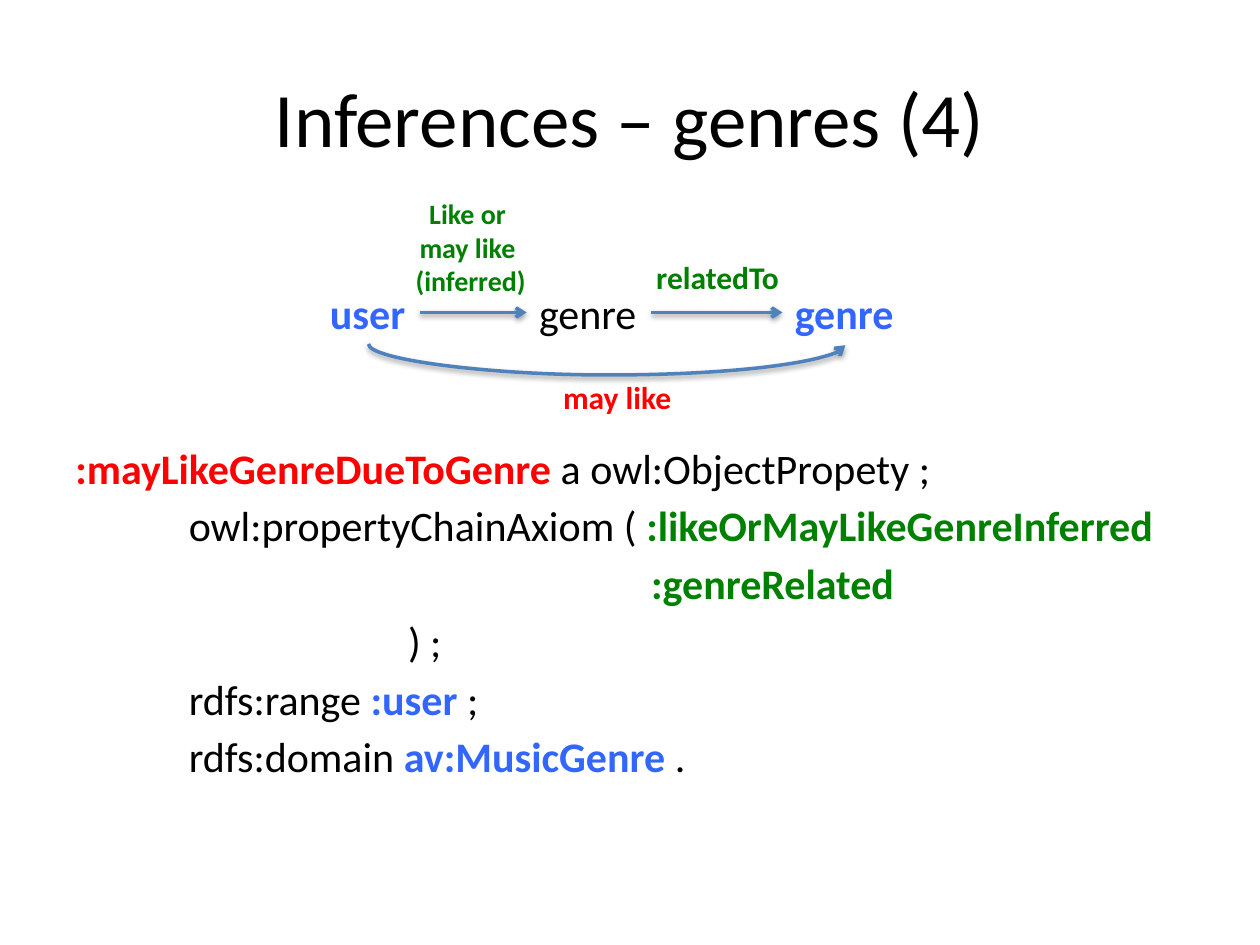
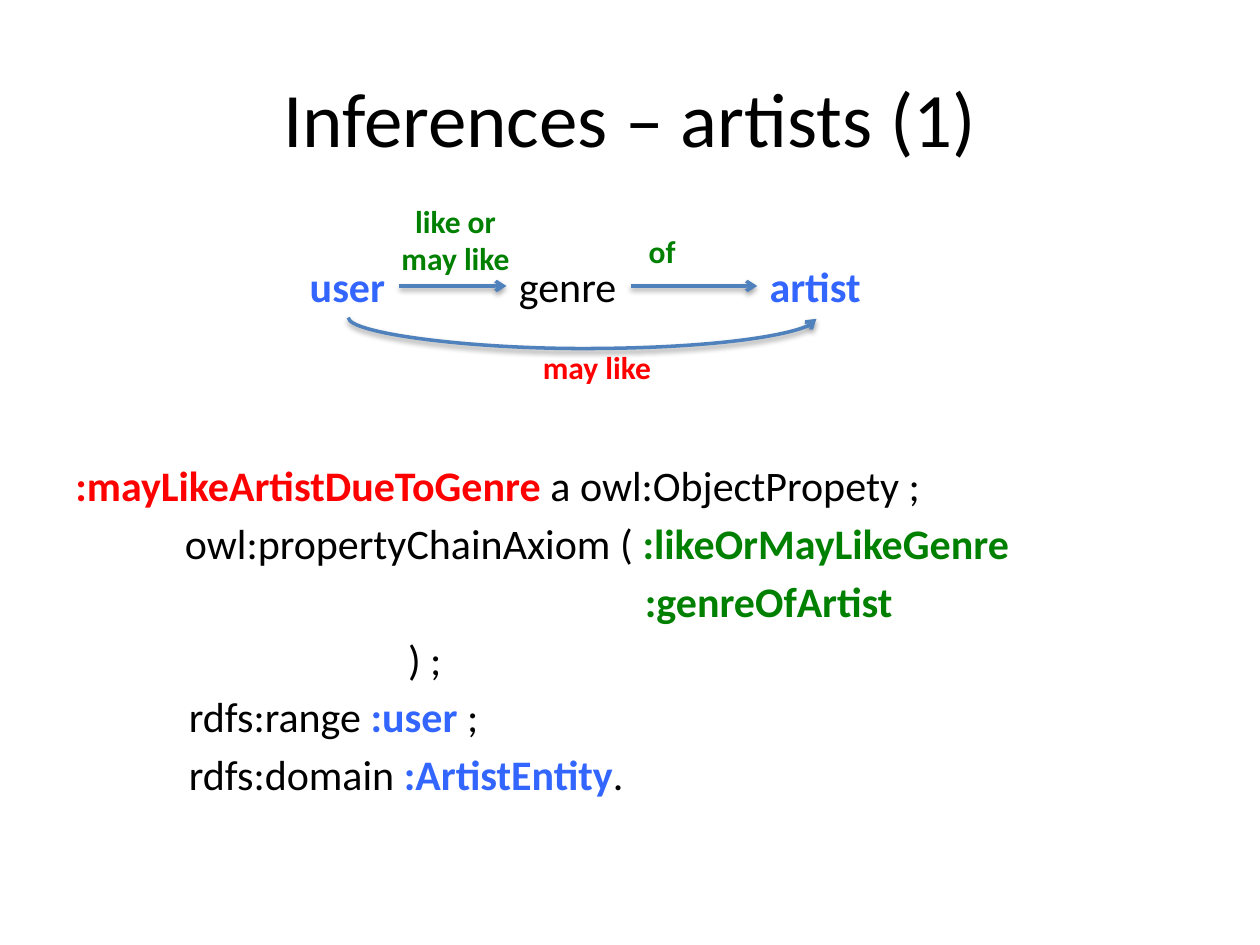
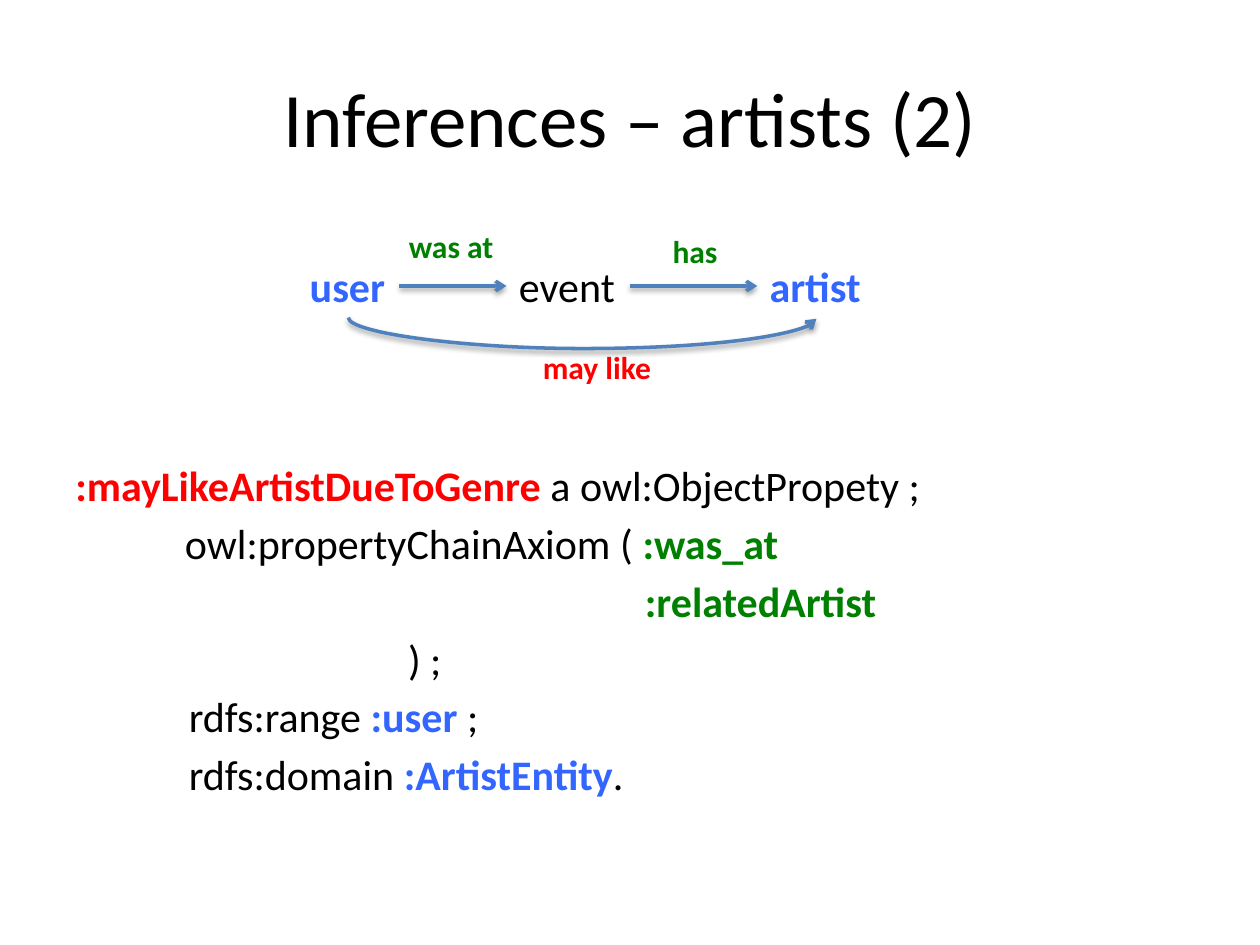
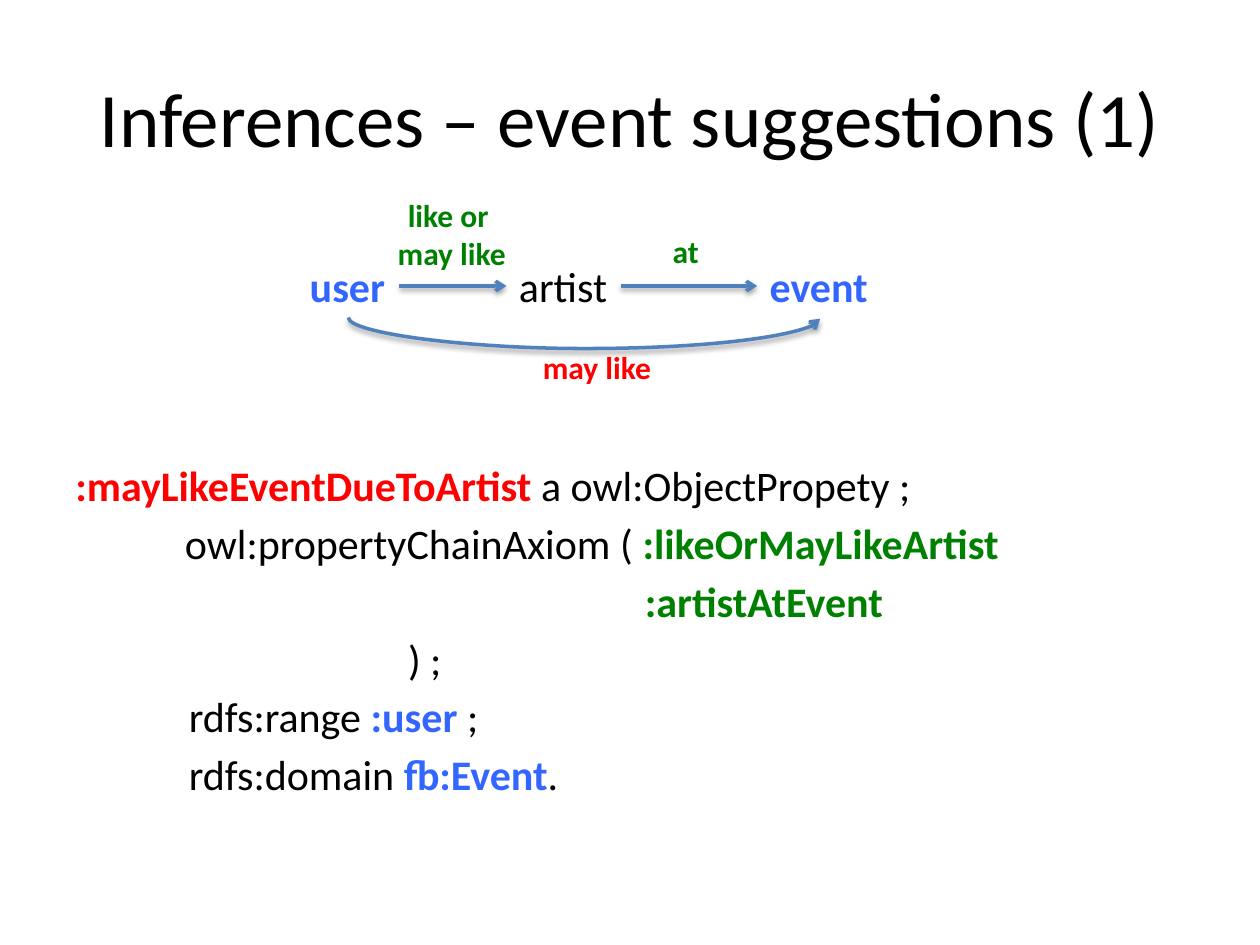
import pptx
import pptx.util
import pptx.dml.color
import pptx.enum.shapes
import pptx.enum.text
import pptx.oxml
import pptx.oxml.ns
from dataclasses import dataclass
from lxml import etree

Inches = pptx.util.Inches
Pt = pptx.util.Pt
Align = pptx.enum.text.PP_ALIGN
Anchor = pptx.enum.text.MSO_ANCHOR
AutoSize = pptx.enum.text.MSO_AUTO_SIZE
Connector = pptx.enum.shapes.MSO_CONNECTOR
qn = pptx.oxml.ns.qn

SHADOW = (
    '<a:effectLst xmlns:a="http://schemas.openxmlformats.org/drawingml/2006/main">'
    '<a:outerShdw blurRad="40000" dist="20000" dir="5400000" rotWithShape="0">'
    '<a:srgbClr val="000000"><a:alpha val="38000"/></a:srgbClr>'
    '</a:outerShdw></a:effectLst>'
)


@dataclass(frozen=True)
class Theme:
    font: str = "Calibri"
    plain: str = "000000"
    entity: str = "3366FF"
    given: str = "008000"
    inferred: str = "FF0000"
    arrow: str = "4F81BD"
    title_size: float = 44
    code_size: float = 24
    label_size: float = 18
    small_size: float = 16
    code_gap: float = 4.2
    arrow_width: float = 2


class Deck:
    def __init__(self, theme):
        self.theme = theme
        self.presentation = pptx.Presentation()
        self.presentation.slide_width = Inches(10)
        self.presentation.slide_height = Inches(7.5)
        self.slide = None

    def new_slide(self, title):
        self.slide = self.presentation.slides.add_slide(self.presentation.slide_layouts[6])
        frame = self.frame(0.5, 0.3, 9, 1.25)
        frame.word_wrap = True
        frame.vertical_anchor = Anchor.MIDDLE
        frame.paragraphs[0].alignment = Align.CENTER
        self.run(frame.paragraphs[0], title, self.theme.title_size, self.theme.plain)

    def frame(self, left, top, width, height):
        box = self.slide.shapes.add_textbox(
            Inches(left), Inches(top), Inches(width), Inches(height))
        return box.text_frame

    def run(self, paragraph, words, size, colour):
        run = paragraph.add_run()
        run.text = words
        run.font.name = self.theme.font
        run.font.size = Pt(size)
        run.font.bold = colour != self.theme.plain
        run.font.color.rgb = pptx.dml.color.RGBColor.from_string(colour)

    def label(self, lines, left, top, width, height, size, colour, align=Align.LEFT):
        frame = self.frame(left, top, width, height)
        frame.word_wrap = False
        frame.auto_size = AutoSize.SHAPE_TO_FIT_TEXT
        for index, words in enumerate(lines):
            paragraph = frame.add_paragraph() if index else frame.paragraphs[0]
            paragraph.alignment = align
            self.run(paragraph, words, size, colour)

    def arrow(self, kind, x1, y1, x2, y2):
        arrow = self.slide.shapes.add_connector(
            kind, Inches(x1), Inches(y1), Inches(x2), Inches(y2))
        arrow.line.color.rgb = pptx.dml.color.RGBColor.from_string(self.theme.arrow)
        arrow.line.width = Pt(self.theme.arrow_width)
        properties = arrow.element.spPr
        etree.SubElement(properties.find(qn("a:ln")), qn("a:tailEnd"), type="arrow")
        properties.append(pptx.oxml.parse_xml(SHADOW))
        return properties

    def arc(self, start, end, y, drop=0.01, depth=0.25):
        middle_x, middle_y = (start + end) / 2, y + drop / 2
        span = end - start
        properties = self.arrow(
            Connector.CURVE, middle_x - drop / 2, middle_y - span / 2,
            middle_x + drop / 2, middle_y + span / 2)
        turn = properties.find(qn("a:xfrm"))
        turn.set("rot", "16200000")
        turn.set("flipH", "1")
        geometry = properties.find(qn("a:prstGeom"))
        guides = geometry.find(qn("a:avLst"))
        if guides is None:
            guides = etree.SubElement(geometry, qn("a:avLst"))
        bend = round(depth / drop * 100000)
        etree.SubElement(guides, qn("a:gd"), name="adj1", fmla=f"val {bend}")

    def chain(self, top, nodes):
        theme = self.theme
        colours = (theme.entity, theme.plain, theme.entity)
        for (name, left, width), colour in zip(nodes, colours):
            self.label([name], left, top, width, 0.5, theme.code_size, colour)
        for (_, left, width), (_, target, _) in zip(nodes, nodes[1:]):
            self.arrow(Connector.STRAIGHT, left + width, top + 0.25, target, top + 0.25)
        _, first, first_width = nodes[0]
        _, last, last_width = nodes[-1]
        self.arc(first + first_width / 2, last + last_width / 2, top + 0.5)

    def axiom(self, inset, axiom_indent, second_indent, subject, steps, domain, ending):
        theme = self.theme
        lines = [
            (0, [(subject + " ", theme.inferred), ("a owl:ObjectPropety ;", theme.plain)]),
            (axiom_indent, [("owl:propertyChainAxiom ( ", theme.plain),
                            (steps[0], theme.given)]),
            (second_indent, [(steps[1], theme.given)]),
            (2.64, [(") ;", theme.plain)]),
            (0.9, [("rdfs:range ", theme.plain), (":user", theme.entity),
                   (" ;", theme.plain)]),
            (0.9, [("rdfs:domain ", theme.plain), (domain, theme.entity),
                   (ending, theme.plain)]),
        ]
        frame = self.frame(0.5, 1.75, 9, 4.95)
        frame.word_wrap = True
        frame.margin_top = Inches(inset)
        for index, (indent, parts) in enumerate(lines):
            paragraph = frame.add_paragraph() if index else frame.paragraphs[0]
            paragraph.space_before = Pt(theme.code_gap if index else 0)
            paragraph._p.get_or_add_pPr().set("marL", str(Inches(indent)))
            for words, colour in parts:
                self.run(paragraph, words, theme.code_size, colour)


theme = Theme()
deck = Deck(theme)

inferences = [
    dict(
        title="Inferences – genres (4)",
        axiom=(1.76, 0.9, 4.57, ":mayLikeGenreDueToGenre",
               (":likeOrMayLikeGenreInferred", ":genreRelated"), "av:MusicGenre", " ."),
        top=2.23,
        nodes=[("user", 2.52, 0.81), ("genre", 4.18, 0.99), ("genre", 6.21, 1)],
        first=(["Like or ", "may like ", "(inferred)"], 3.19, 1.51, 1.09, 0.91,
               theme.small_size),
        second=(["relatedTo"], 5.11, 2, 1.22),
        result=(4.37, 2.95),
    ),
    dict(
        title="Inferences – artists (1)",
        axiom=(1.9, 0.87, 4.52, ":mayLikeArtistDueToGenre",
               (":likeOrMayLikeGenre", ":genreOfArtist"), ":ArtistEntity", "."),
        top=2.02,
        nodes=[("user", 2.36, 0.81), ("genre", 4.02, 0.99), ("artist", 6.01, 0.94)],
        first=(["like or", "may like"], 3.07, 1.55, 1.09, 0.71, theme.label_size),
        second=(["of"], 5.05, 1.79, 0.43),
        result=(4.21, 2.71),
    ),
    dict(
        title="Inferences – artists (2)",
        axiom=(1.9, 0.87, 4.52, ":mayLikeArtistDueToGenre",
               (":was_at", ":relatedArtist"), ":ArtistEntity", "."),
        top=2.02,
        nodes=[("user", 2.36, 0.81), ("event", 4.02, 0.98), ("artist", 6.01, 0.94)],
        first=(["was at"], 3.14, 1.75, 0.88, 0.4, theme.label_size),
        second=(["has"], 5.24, 1.79, 0.57),
        result=(4.21, 2.71),
    ),
    dict(
        title="Inferences – event suggestions (1)",
        axiom=(1.9, 0.87, 4.52, ":mayLikeEventDueToArtist",
               (":likeOrMayLikeArtist", ":artistAtEvent"), "fb:Event", "."),
        top=2.02,
        nodes=[("user", 2.36, 0.81), ("artist", 4.02, 0.91), ("event", 6.01, 1)],
        first=(["like or ", "may like"], 3.04, 1.51, 1.09, 0.71, theme.label_size),
        second=(["at"], 5.24, 1.79, 0.41),
        result=(4.21, 2.71),
    ),
]

for inference in inferences:
    deck.new_slide(inference["title"])
    deck.axiom(*inference["axiom"])
    deck.chain(inference["top"], inference["nodes"])
    deck.label(*inference["first"], theme.given, Align.CENTER)
    deck.label(*inference["second"], 0.4, theme.label_size, theme.given)
    deck.label(["may like"], *inference["result"], 1.09, 0.4, theme.label_size, theme.inferred)

deck.presentation.save("out.pptx")
